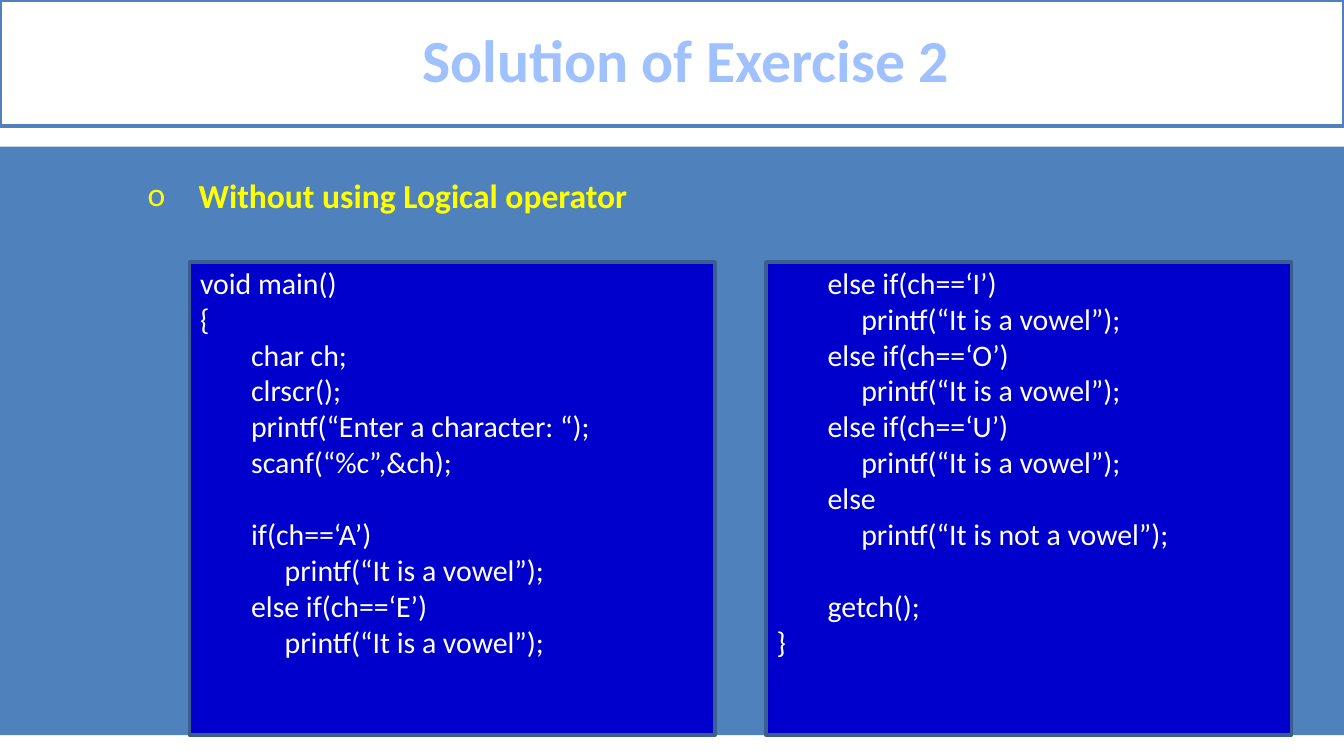
from lxml import etree
from pptx import Presentation
from pptx.dml.color import RGBColor
from pptx.enum.shapes import MSO_SHAPE
from pptx.enum.text import MSO_ANCHOR, PP_ALIGN
from pptx.oxml.ns import qn
from pptx.util import Inches, Pt

RECTANGLE = MSO_SHAPE.RECTANGLE
CENTER, LEFT = PP_ALIGN.CENTER, PP_ALIGN.LEFT
MIDDLE = MSO_ANCHOR.MIDDLE

WHITE = RGBColor(0xFF, 0xFF, 0xFF)
STEEL_BLUE = RGBColor(0x4F, 0x81, 0xBD)
PALE_BLUE = RGBColor(0xA0, 0xC1, 0xFF)
CODE_BLUE = RGBColor(0x00, 0x00, 0xCC)
BORDER_BLUE = RGBColor(0x3A, 0x5F, 0x8C)
YELLOW = RGBColor(0xFF, 0xFF, 0x00)

FONT = "Calibri"
CODE_LINE_HEIGHT = 19.5

DECLARATIONS_AND_FIRST_TESTS = """void main()
{
\tchar ch;
\tclrscr();
\tprintf(“Enter a character: “);
\tscanf(“%c”,&ch);

\tif(ch==‘A’)
\t     printf(“It is a vowel”);
\telse if(ch==‘E’)
\t     printf(“It is a vowel”);"""

REMAINING_TESTS = """\telse if(ch==‘I’)
\t     printf(“It is a vowel”);
\telse if(ch==‘O’)
\t     printf(“It is a vowel”);
\telse if(ch==‘U’)
\t     printf(“It is a vowel”);
\telse
\t     printf(“It is not a vowel”);

\tgetch();
}"""


def add_rectangle(slide, left, top, width, height, fill, line=None):
    shape = slide.shapes.add_shape(
        RECTANGLE, Inches(left), Inches(top), Inches(width), Inches(height))
    shape.shadow.inherit = False
    shape.fill.solid()
    shape.fill.fore_color.rgb = fill
    if line is None:
        shape.line.fill.background()
    else:
        shape.line.color.rgb = line
        shape.line.width = Pt(2)
    return shape


def add_text_frame(slide, left, top, width, height):
    text_box = slide.shapes.add_textbox(
        Inches(left), Inches(top), Inches(width), Inches(height))
    text_box.text_frame.word_wrap = True
    return text_box.text_frame


def write_paragraph(paragraph, text, size, color, bold=False, align=LEFT,
                    margin=0, indent=0, bullet=None, space_before=0):
    properties = paragraph._p.get_or_add_pPr()
    properties.set("marL", str(Inches(margin)))
    properties.set("indent", str(Inches(indent)))
    if bullet:
        etree.SubElement(properties, qn("a:buFont")).set("typeface", FONT)
        etree.SubElement(properties, qn("a:buChar")).set("char", bullet)
    paragraph.alignment = align
    if space_before:
        paragraph.space_before = Pt(space_before)
    run = paragraph.add_run()
    run.text = text
    run.font.name = FONT
    run.font.size = Pt(size)
    run.font.bold = bold
    run.font.color.rgb = color


def add_title(slide, left, top, width, height, text):
    frame = add_rectangle(
        slide, left, top, width, height, WHITE, STEEL_BLUE).text_frame
    frame.word_wrap = True
    frame.vertical_anchor = MIDDLE
    frame.margin_bottom = Inches(0.11)
    write_paragraph(frame.paragraphs[0], text, 32, PALE_BLUE, bold=True,
                    align=CENTER, margin=0.21)


def add_heading(slide, left, top, width, height, text):
    frame = add_text_frame(slide, left, top, width, height)
    write_paragraph(frame.paragraphs[0], text, 18, YELLOW, bold=True,
                    margin=1.38, indent=-0.38, bullet="o")


def add_code_panel(slide, left, top, width, height, code):
    """Draw a panel of code; an empty line in the code becomes a one-line gap."""
    add_rectangle(slide, left, top, width, height, CODE_BLUE, BORDER_BLUE)
    frame = add_text_frame(slide, left - 1.02, top - 0.03, 4.69, 3.33)
    paragraph = frame.paragraphs[0]
    for block_index, block in enumerate(code.split("\n\n")):
        for line_index, line in enumerate(block.split("\n")):
            starts_block = line_index == 0
            if block_index or line_index:
                paragraph = frame.add_paragraph()
            gap = CODE_LINE_HEIGHT if block_index and starts_block else 0
            write_paragraph(paragraph, line, 16, WHITE, margin=1.38,
                            indent=-0.38, space_before=gap)


def main():
    presentation = Presentation()
    presentation.slide_width = Inches(10)
    presentation.slide_height = Inches(10) * 9 // 16
    slide = presentation.slides.add_slide(presentation.slide_layouts[6])

    add_rectangle(slide, 0, 1.09, 10, 4.38, STEEL_BLUE)
    add_title(slide, 0, 0, 10, 0.94, "Solution of Exercise 2")
    add_heading(slide, 0, 1.25, 10, 0.4, "Without using Logical operator")
    for column, code in enumerate((DECLARATIONS_AND_FIRST_TESTS, REMAINING_TESTS)):
        add_code_panel(slide, 1.41 + column * 4.29, 1.95, 3.91, 3.52, code)

    presentation.save("out.pptx")


if __name__ == "__main__":
    main()
